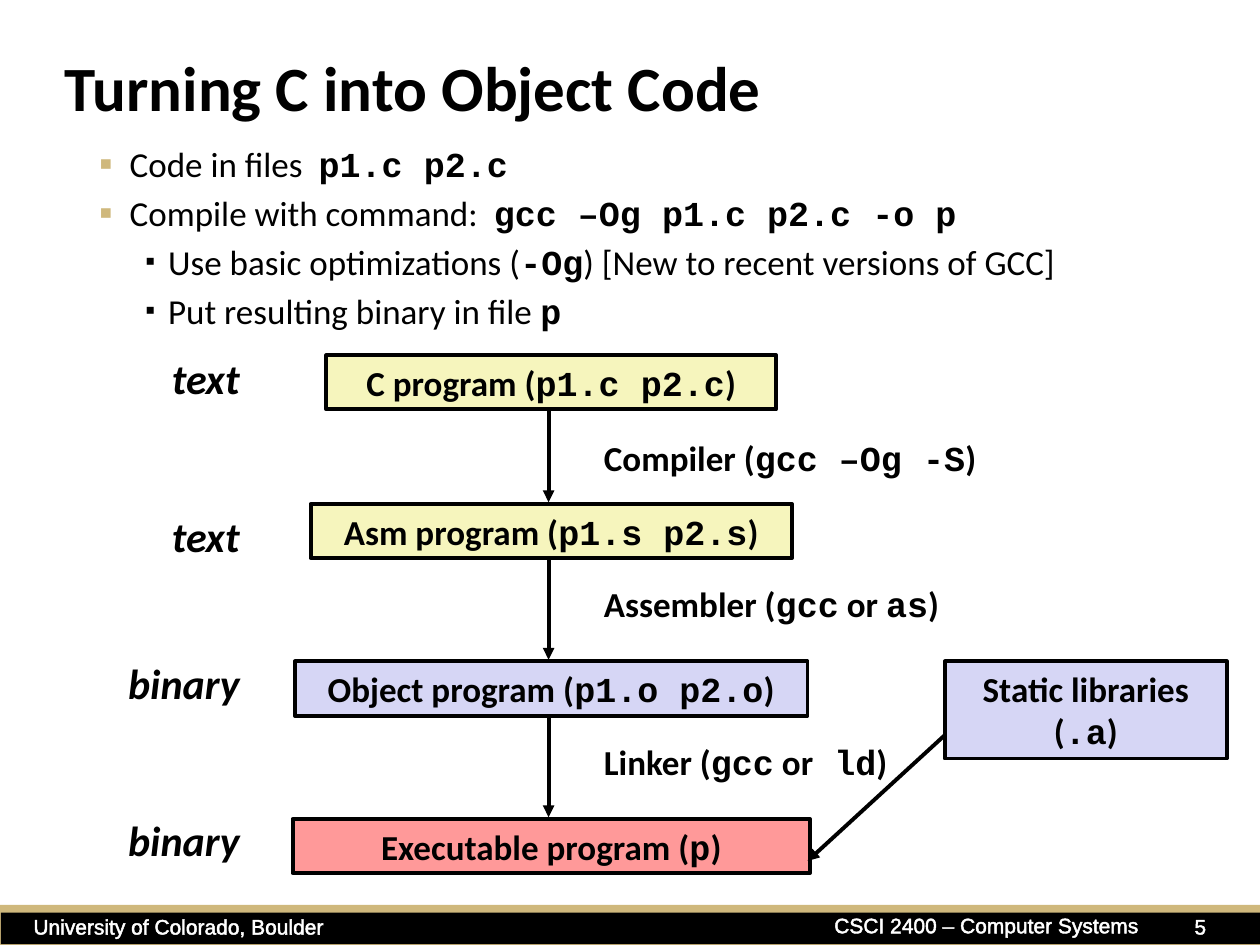
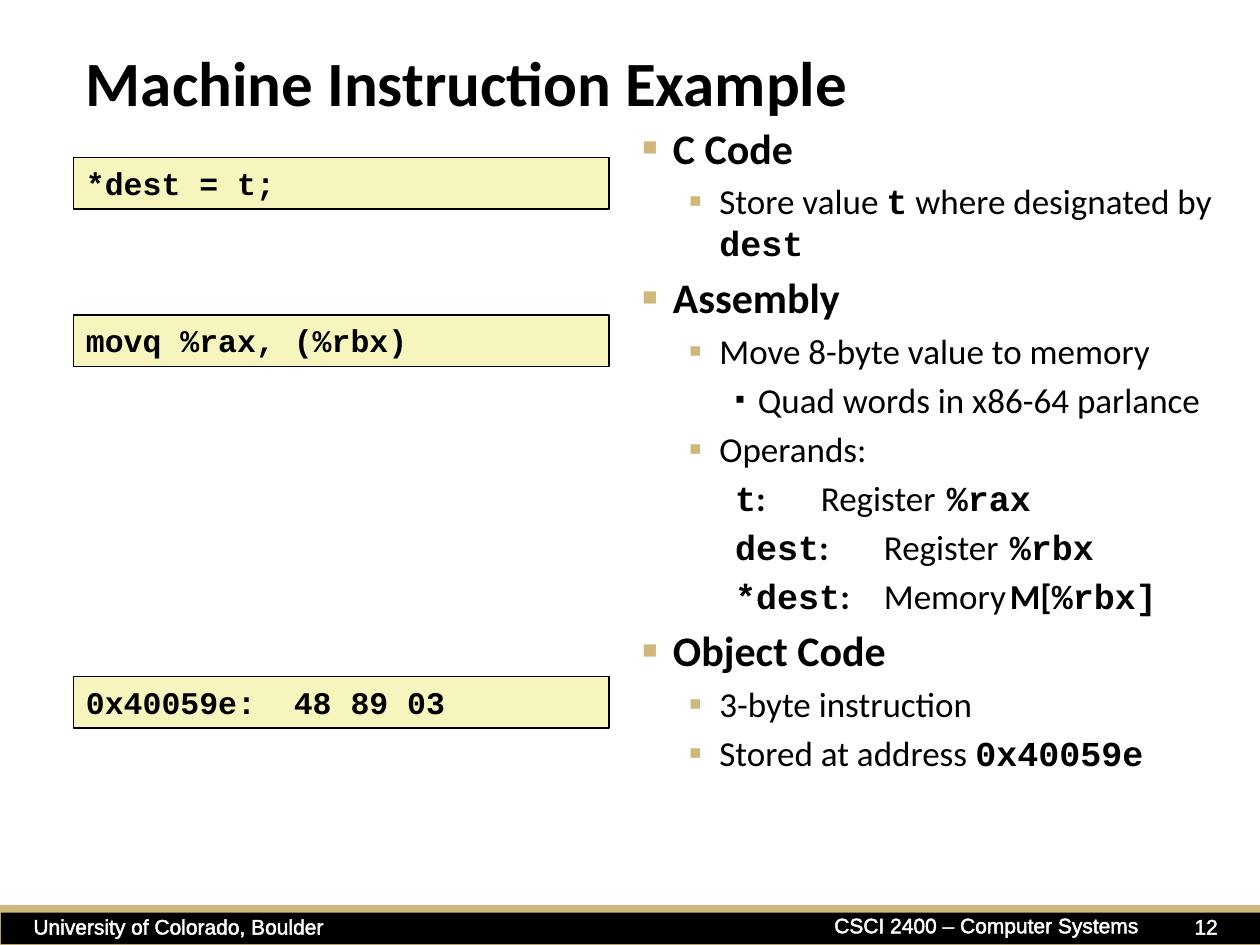
from itertools import pairwise
from lxml.etree import Element, SubElement
from pptx import Presentation
from pptx.dml.color import RGBColor
from pptx.enum.shapes import MSO_CONNECTOR, MSO_SHAPE
from pptx.enum.text import MSO_ANCHOR, MSO_AUTO_SIZE, PP_ALIGN
from pptx.oxml.ns import qn
from pptx.util import Pt

COLORS = {
    "gold": "CFB87C",
    "black": "000000",
    "white": "FFFFFF",
    "source": "F6F5BD",
    "object": "D6D6F5",
    "executable": "FF9999",
}
BODY_FONT, CODE_FONT, FOOTER_FONT = "Calibri", "Courier New", "Arial"
WIDTH, HEIGHT = 720, 540

LEVELS = {
    "head": dict(level=0, indent=17.5, hang=17.5, size=24, bold=True, bullet=("■", 60, "gold")),
    "item": dict(level=1, indent=44, hang=17.5, bullet=("▪", 110, "gold")),
    "detail": dict(level=2, indent=66, hang=13, bullet=("▪", 80, "black")),
    "operand": dict(level=2, indent=66, hang=13),
}


def rgb(name):
    return RGBColor.from_string(COLORS[name])


def split_runs(text, font, bold):
    for i, part in enumerate(text.split("`")):
        if i % 2:
            yield part, CODE_FONT, True
        else:
            for j, piece in enumerate(part.split("^")):
                yield piece, font, bold or j % 2 == 1


def add_outline(r, color):
    ln = Element(qn("a:ln"), w=str(Pt(0.75)))
    fill = SubElement(ln, qn("a:solidFill"))
    SubElement(fill, qn("a:srgbClr"), val=COLORS[color])
    r._r.get_or_add_rPr().insert(0, ln)


def write(p, text, size=20, font=BODY_FONT, color="black", bold=False,
          italic=False, align=PP_ALIGN.LEFT, outline=False):
    p.alignment = align
    for piece, face, heavy in split_runs(text, font, bold):
        if not piece:
            continue
        r = p.add_run()
        r.text = piece
        r.font.size = Pt(size)
        r.font.name = face
        r.font.bold = heavy
        r.font.italic = italic
        r.font.color.rgb = rgb(color)
        if outline:
            add_outline(r, color)


def set_list_format(p, level, indent, hang, tabs, bullet=None):
    p.level = level
    pPr = p._p.get_or_add_pPr()
    pPr.set("marL", str(Pt(indent)))
    pPr.set("indent", str(-Pt(hang)))
    before = SubElement(pPr, qn("a:spcBef"))
    SubElement(before, qn("a:spcPct"), val="20000")
    if bullet:
        char, percent, color = bullet
        fill = SubElement(pPr, qn("a:buClr"))
        SubElement(fill, qn("a:srgbClr"), val=COLORS[color])
        SubElement(pPr, qn("a:buSzPct"), val=str(percent * 1000))
        SubElement(pPr, qn("a:buFont"), typeface="Arial")
        SubElement(pPr, qn("a:buChar"), char=char)
    else:
        SubElement(pPr, qn("a:buNone"))
    stops = SubElement(pPr, qn("a:tabLst"))
    for tab in tabs:
        SubElement(stops, qn("a:tab"), pos=str(Pt(tab)), algn="l")


def add_label(s, box, text, wrap=True, grow=True, anchor=MSO_ANCHOR.TOP, **fmt):
    tf = s.shapes.add_textbox(*map(Pt, box)).text_frame
    tf.word_wrap = wrap
    tf.auto_size = MSO_AUTO_SIZE.SHAPE_TO_FIT_TEXT if grow else MSO_AUTO_SIZE.NONE
    tf.vertical_anchor = anchor
    write(tf.paragraphs[0], text, **fmt)


def add_box(s, box, fill, text="", line=None, **fmt):
    sp = s.shapes.add_shape(MSO_SHAPE.RECTANGLE, *map(Pt, box))
    sp.shadow.inherit = False
    sp.fill.solid()
    sp.fill.fore_color.rgb = rgb(fill)
    if line:
        sp.line.width = Pt(line)
        sp.line.color.rgb = rgb("black")
    else:
        sp.line.fill.background()
    if text:
        tf = sp.text_frame
        tf.word_wrap = True
        tf.auto_size = MSO_AUTO_SIZE.SHAPE_TO_FIT_TEXT
        tf.vertical_anchor = MSO_ANCHOR.TOP
        write(tf.paragraphs[0], text, bold=True, **fmt)


def add_arrow(s, start, end):
    cx = s.shapes.add_connector(MSO_CONNECTOR.STRAIGHT, *map(Pt, start + end))
    cx.line.width = Pt(2.25)
    cx.line.color.rgb = rgb("black")
    SubElement(cx.line._get_or_add_ln(), qn("a:tailEnd"), type="triangle")
    SubElement(cx._element.spPr, qn("a:effectLst"))


def add_footer(s, number):
    top = 517
    add_box(s, (0, top, WIDTH, HEIGHT - top), "gold")
    add_box(s, (0.5, top + 4.5, WIDTH - 0.5, 18), "black")
    fmt = dict(size=12, font=FOOTER_FONT, color="white", outline=True)
    add_label(s, (12, top + 1.5, 181.5, 21.6), "University of Colorado, Boulder", wrap=False, **fmt)
    add_label(s, (468, top + 0.8, 191.5, 21.6), "CSCI 2400 – Computer Systems",
              align=PP_ALIGN.CENTER, **fmt)
    add_label(s, (675.5, top + 1.5, 33, 21.6), str(number), **fmt)


def add_slide(prs, number, title, title_box):
    s = prs.slides.add_slide(prs.slide_layouts[6])
    add_footer(s, number)
    add_label(s, title_box, title, grow=False, anchor=MSO_ANCHOR.MIDDLE, size=36, bold=True)
    return s


def add_bullets(s, box, items, tabs):
    tf = s.shapes.add_textbox(*map(Pt, box)).text_frame
    tf.word_wrap = True
    for i, (kind, text) in enumerate(items):
        p = tf.add_paragraph() if i else tf.paragraphs[0]
        style = dict(LEVELS[kind])
        fmt = {k: style.pop(k) for k in ("size", "bold") if k in style}
        write(p, text, **fmt)
        set_list_format(p, tabs=tabs, **style)


def add_build_steps(s, left, top):
    center, box_h = left + 249.5, 31
    stages = [
        (0, 257, "source", "C program (`p1.c p2.c`)"),
        (85, 275, "source", "Asm program (`p1.s p2.s`)"),
        (175, 293, "object", "Object program (`p1.o p2.o`)"),
        (265, 295.5, "executable", "Executable program (`p`)"),
    ]
    tools = [
        (43, 239, "Compiler (`gcc –Og -S`)"),
        (126.5, 240, "Assembler (`gcc` or `as`)"),
        (216.8, 208, "Linker (`gcc` or` ld`)"),
    ]
    forms = [(-5, 57.5, "text"), (85, 57.5, "text"), (169, 78.5, "binary"), (259, 78.5, "binary")]

    for y, w, text in forms:
        add_label(s, (left + 78.5 - w, top + y, w, 36), text, size=24,
                  bold=True, italic=True, align=PP_ALIGN.RIGHT)
    for (y, *_), (next_y, *_) in pairwise(stages):
        add_arrow(s, (center - 1.5, top + y + box_h), (center - 1.5, top + next_y - 1))
    for y, w, text in tools:
        add_label(s, (center + 23, top + y, w, box_h), text, bold=True)
    for y, w, fill, text in stages:
        add_box(s, (center - w / 2, top + y, w, box_h), fill, text, line=2.25,
                align=PP_ALIGN.CENTER)

    lib_left, lib_top = left + 474.5, top + 175
    add_box(s, (lib_left, lib_top, 161, 55.5), "object", "Static libraries (`.a`)",
            line=2.25, align=PP_ALIGN.CENTER)
    add_arrow(s, (lib_left, lib_top + 42), (center + 146.5, top + 289))


def add_code_boxes(s, left, top, width, snippets):
    for y, code in snippets:
        add_box(s, (left, top + y, width, 29.5), "source", code, line=1, size=18, font=CODE_FONT)


def build_object_code(prs):
    s = add_slide(prs, 5, "Turning C into Object Code", (30, 26.6, 551, 45.4))
    add_bullets(s, (23, 77.8, 654.5, 115), [
        ("item", "Code in files  `p1.c p2.c`"),
        ("item", "Compile with command:  `gcc –Og p1.c p2.c -o p`"),
        ("detail", "Use basic optimizations (`-Og`) [New to recent versions of GCC]"),
        ("detail", "Put resulting binary in file `p`"),
    ], tabs=(180, 279.5))
    add_build_steps(s, 65.5, 203)


def build_machine_instruction(prs):
    s = add_slide(prs, 12, "Machine Instruction Example", (42, 23.8, 571.5, 45.4))
    add_bullets(s, (360, 66.2, 360, 456), [
        ("head", "C Code"),
        ("item", "Store value `t` where designated by `dest`"),
        ("head", "Assembly"),
        ("item", "Move 8-byte value to memory"),
        ("detail", "Quad words in x86-64 parlance"),
        ("item", "Operands:"),
        ("operand", "`t`^:\t^Register\t`%rax`"),
        ("operand", "`dest`^:^\tRegister\t`%rbx`"),
        ("operand", "`*dest`^:^ \tMemory\t^M[^`%rbx]`"),
        ("head", "Object Code"),
        ("item", "3-byte instruction"),
        ("item", "Stored at address `0x40059e`"),
    ], tabs=(126, 198))
    add_code_boxes(s, 42, 90, 306, [
        (0, "*dest = t;"),
        (90, "movq %rax, (%rbx)"),
        (296.6, "0x40059e:  48 89 03"),
    ])


def main():
    prs = Presentation()
    prs.slide_width, prs.slide_height = Pt(WIDTH), Pt(HEIGHT)
    build_object_code(prs)
    build_machine_instruction(prs)
    prs.save("out.pptx")


if __name__ == "__main__":
    main()
